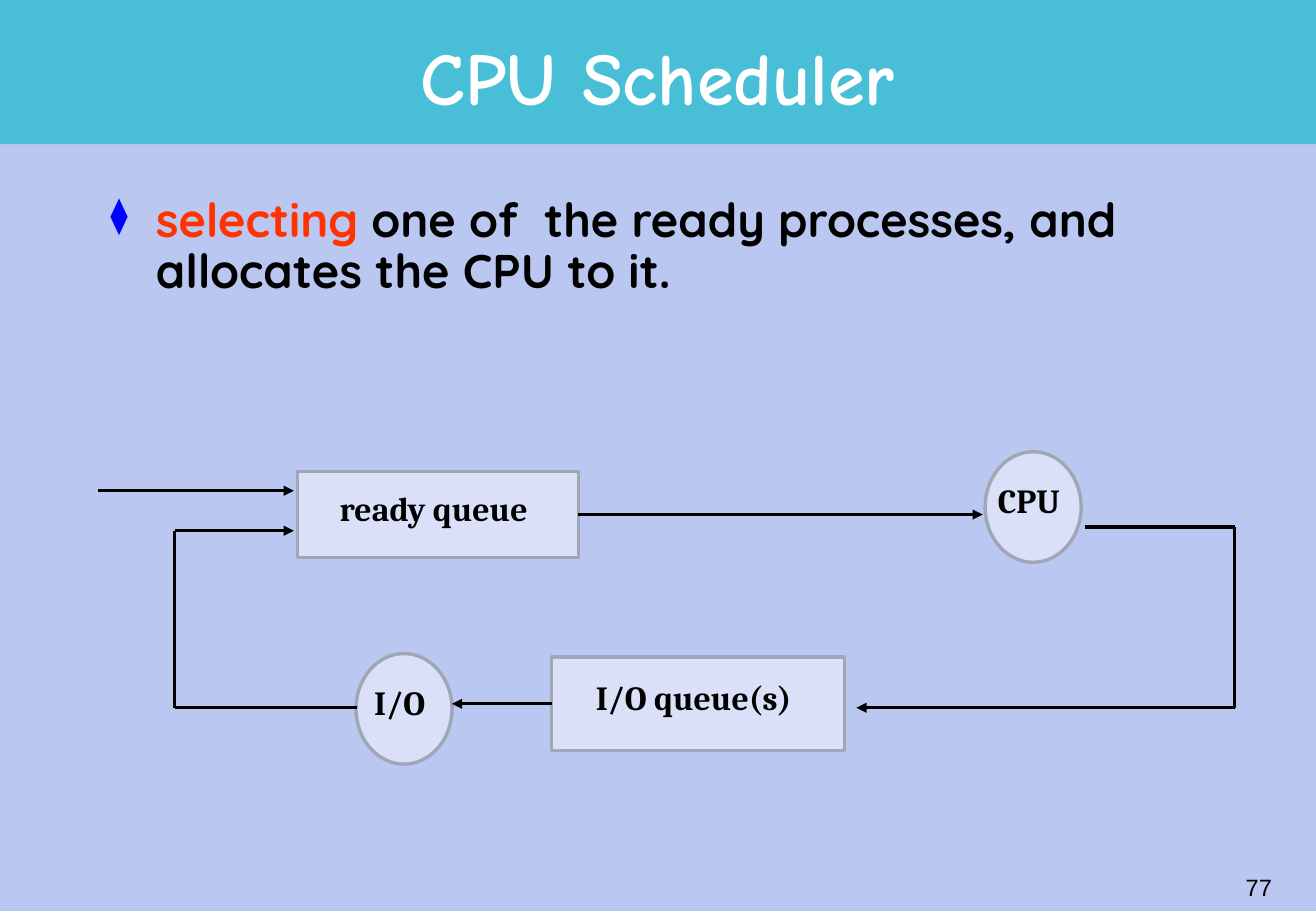
from dataclasses import dataclass
from itertools import pairwise

from lxml import etree
from pptx import Presentation
from pptx.dml.color import RGBColor
from pptx.enum import shapes, text
from pptx.oxml import ns
from pptx.shapes.autoshape import Shape
from pptx.shapes.connector import Connector
from pptx.slide import Slide
from pptx.text.text import Font
from pptx.util import Length, Pt

BACKGROUND = RGBColor(0xBA, 0xC8, 0xF1)
BAND = RGBColor(0x49, 0xBF, 0xD7)
NODE_FILL = RGBColor(0xD9, 0xE0, 0xF7)
NODE_LINE = RGBColor(0xA1, 0xA6, 0xB7)
ACCENT = RGBColor(0xFF, 0x33, 0x00)
BLACK = RGBColor(0, 0, 0)
WHITE = RGBColor(0xFF, 0xFF, 0xFF)

SLIDE_W, SLIDE_H = 780, 540
MARGIN, CONTENT_W = 58.3, 663.2
RECT = shapes.MSO_SHAPE.RECTANGLE
OVAL = shapes.MSO_SHAPE.OVAL


@dataclass
class Node:
    label: str
    kind: shapes.MSO_SHAPE
    x: float
    y: float
    w: float = 56.9
    h: float = 65.5


@dataclass
class Route:
    """A chain of straight lines with an arrowhead at its last point."""
    points: list[tuple[float, float]]
    source: str = ""
    site: int = 3


NODES = [
    Node("ready queue", RECT, 176.4, 279.4, 166.4, 51.2),
    Node("I/O queue(s)", RECT, 326.9, 389.5, 173.6, 55.4),
    Node("I/O", OVAL, 211, 387.4),
    Node("CPU", OVAL, 583.9, 267.8),
]
ROUTES = [
    Route([(58.3, 290.9), (174.2, 290.9)]),
    Route([(342.8, 305), (582.5, 305)], "ready queue", 3),
    Route([(643, 312.5), (731.8, 312.5), (731.8, 419.5), (507.6, 419.5)]),
    Route([(326.9, 417.2), (267.9, 417.2)], "I/O queue(s)", 1),
    Route([(211.7, 419.5), (103.6, 419.5), (103.6, 314.6), (174.2, 314.6)]),
]


def box(*lengths: float) -> list[Length]:
    return [Pt(v) for v in lengths]


def style(font: Font, name: str, size: float, color: RGBColor, bold: bool) -> None:
    font.name, font.size, font.bold = name, Pt(size), bold
    font.color.rgb = color


def add_band(s: Slide) -> Shape:
    sp = s.shapes.add_shape(RECT, *box(0, 0, SLIDE_W, 85.5))
    sp.shadow.inherit = False
    sp.fill.solid()
    sp.fill.fore_color.rgb = BAND
    sp.line.fill.background()
    return sp


def add_title(s: Slide) -> None:
    sp = s.shapes.title
    sp.element.addprevious(add_band(s).element)
    sp.left, sp.top, sp.width, sp.height = box(MARGIN, 13.7, CONTENT_W, 71.3)
    tf = sp.text_frame
    tf.text = "CPU Scheduler"
    tf.vertical_anchor = text.MSO_ANCHOR.MIDDLE
    p = tf.paragraphs[0]
    p.alignment = text.PP_ALIGN.CENTER
    p.line_spacing = 0.85
    style(p.runs[0].font, "Comic Neue", 44, WHITE, True)


def add_bullet_text(s: Slide) -> None:
    tf = s.shapes.add_textbox(*box(MARGIN, 113, CONTENT_W, 80)).text_frame
    tf.word_wrap = True
    p = tf.paragraphs[0]
    p.line_spacing = 0.9
    pPr = p._p.get_or_add_pPr()
    pPr.set("marL", str(Pt(27)))
    pPr.set("indent", str(-Pt(27)))
    color = etree.SubElement(pPr, ns.qn("a:buClr"))
    etree.SubElement(color, ns.qn("a:srgbClr"), val="0000FF")
    etree.SubElement(pPr, ns.qn("a:buSzPct"), val="75000")
    etree.SubElement(pPr, ns.qn("a:buChar"), char="⧫")
    for words, ink in (
        ("selecting", ACCENT),
        (" one of  the ready processes, and allocates the CPU to it.", BLACK),
    ):
        r = p.add_run()
        r.text = words
        style(r.font, "Quicksand", 28, ink, True)


def add_node(s: Slide, node: Node) -> Shape:
    sp = s.shapes.add_shape(node.kind, *box(node.x, node.y, node.w, node.h))
    sp.shadow.inherit = False
    sp.fill.solid()
    sp.fill.fore_color.rgb = NODE_FILL
    sp.line.color.rgb = NODE_LINE
    sp.line.width = Pt(2)
    tf = sp.text_frame
    tf.text = node.label
    tf.word_wrap = False
    tf.vertical_anchor = text.MSO_ANCHOR.MIDDLE
    tf.margin_left = tf.margin_top = 0
    tf.margin_right = tf.margin_bottom = Pt(5)
    p = tf.paragraphs[0]
    p.alignment = text.PP_ALIGN.CENTER
    p.line_spacing = 0.9
    style(p.runs[0].font, "Cambria", 20, BLACK, True)
    return sp


def add_line(s: Slide, start: tuple[float, float], end: tuple[float, float]) -> Connector:
    line = s.shapes.add_connector(shapes.MSO_CONNECTOR.STRAIGHT, *box(*start, *end))
    line.line.color.rgb = BLACK
    line.line.width = Pt(2)
    etree.SubElement(line.element.spPr, ns.qn("a:effectLst"))
    return line


def add_route(s: Slide, route: Route, nodes: dict[str, Shape]) -> None:
    lines = [add_line(s, a, b) for a, b in pairwise(route.points)]
    if route.source:
        lines[0].begin_connect(nodes[route.source], route.site)
    ln = lines[-1].line._get_or_add_ln()
    etree.SubElement(ln, ns.qn("a:tailEnd"), type="triangle")


def add_page_number(s: Slide) -> None:
    tf = s.shapes.add_textbox(*box(598.3, 513, 162.7, 26)).text_frame
    tf.text = "77"
    tf.word_wrap = True
    tf.vertical_anchor = text.MSO_ANCHOR.MIDDLE
    p = tf.paragraphs[0]
    p.alignment = text.PP_ALIGN.RIGHT
    style(p.runs[0].font, "Arial", 14, BLACK, False)


def main() -> None:
    prs = Presentation()
    prs.slide_width, prs.slide_height = box(SLIDE_W, SLIDE_H)
    s = prs.slides.add_slide(prs.slide_layouts.get_by_name("Title Only"))
    s.background.fill.solid()
    s.background.fill.fore_color.rgb = BACKGROUND
    add_title(s)
    add_bullet_text(s)
    nodes = {node.label: add_node(s, node) for node in NODES}
    for route in ROUTES:
        add_route(s, route, nodes)
    add_page_number(s)
    prs.save("out.pptx")


if __name__ == "__main__":
    main()
